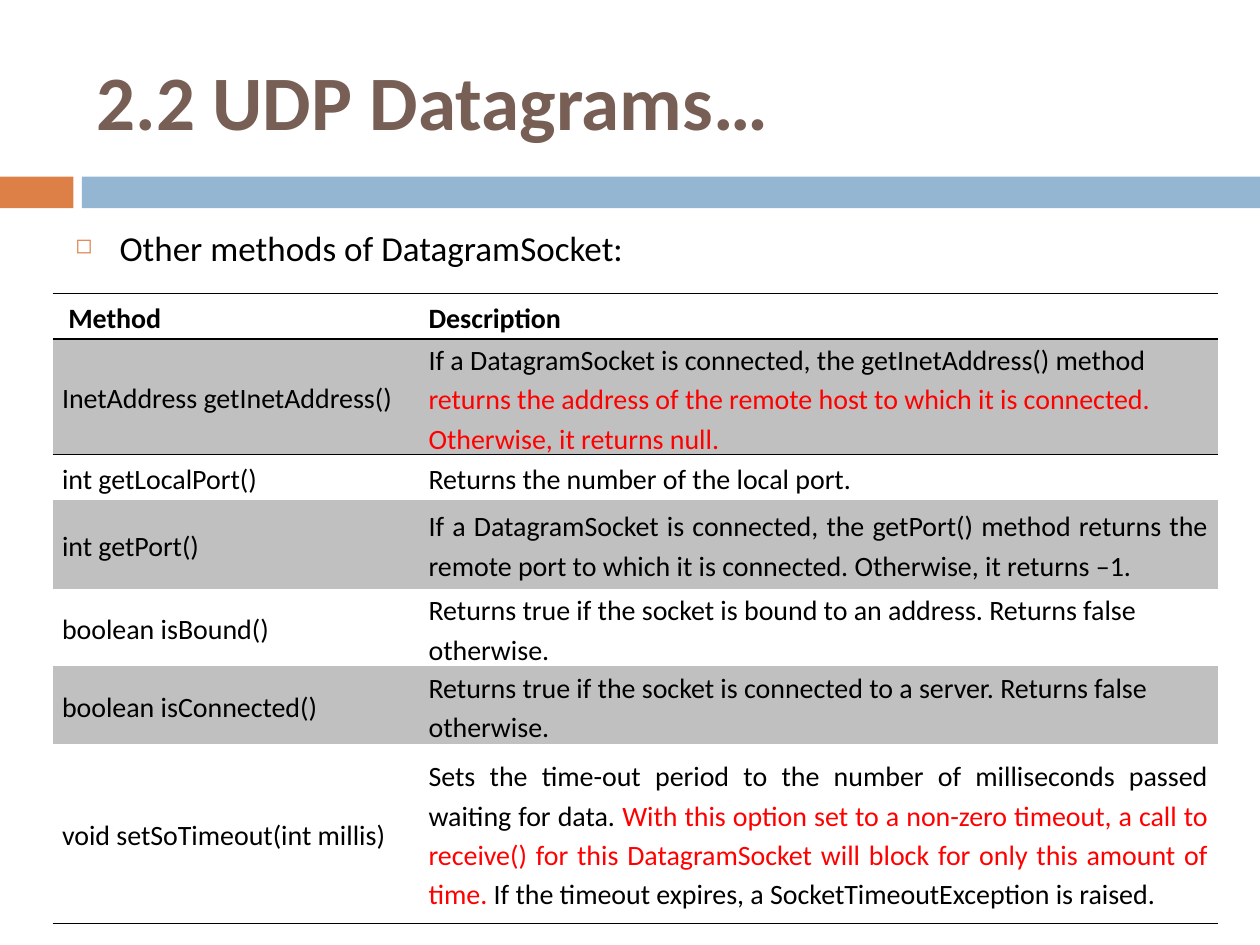
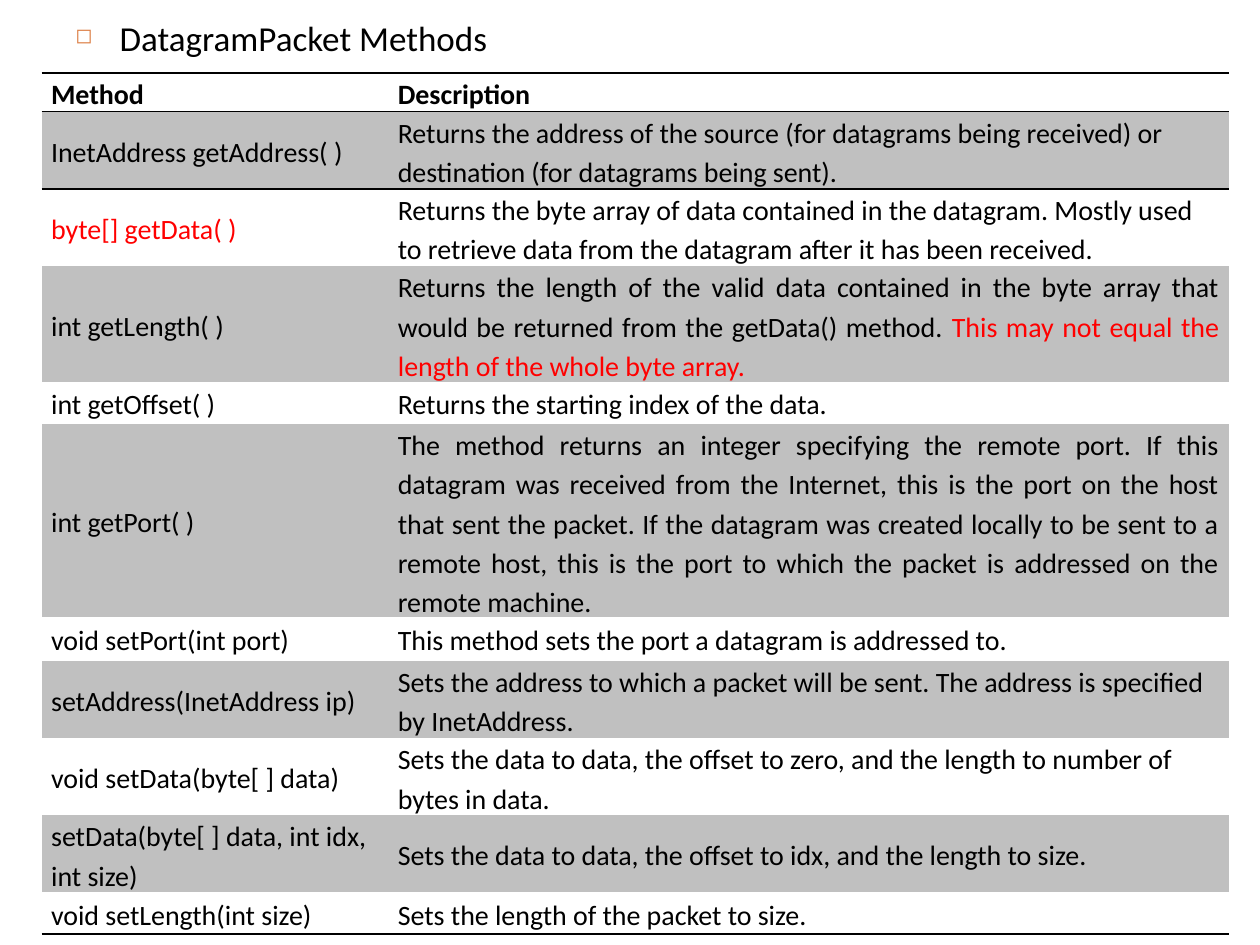
from dataclasses import dataclass
from typing import Any

from lxml.etree import SubElement
from pptx import Presentation
from pptx.dml.color import RGBColor
from pptx.enum.shapes import MSO_SHAPE
from pptx.enum.text import MSO_ANCHOR, PP_ALIGN
from pptx.oxml import parse_xml
from pptx.oxml.ns import nsdecls, qn
from pptx.util import Cm, Pt


@dataclass(frozen=True)
class Theme:
    font: str = "Calibri"
    text: str = "000000"
    hot: str = "FF0000"
    title: str = "775F55"
    accent: str = "DD8047"
    band: str = "94B6D2"
    stripe: str = "C0C0C0"
    title_size: int = 44
    body_size: int = 20
    cell_size: int = 16
    rule_width: int = 1
    no_style: str = "{2D5ABB26-0587-4C30-8999-92F81FD0307C}"


@dataclass(frozen=True)
class Box:
    left: float
    top: float
    width: float
    height: float

    def cm(self) -> tuple[Cm, Cm, Cm, Cm]:
        return Cm(self.left), Cm(self.top), Cm(self.width), Cm(self.height)


@dataclass(frozen=True)
class Band:
    box: Box
    color: str


@dataclass(frozen=True)
class Span:
    text: str
    hot: bool = False


@dataclass(frozen=True)
class Row:
    height: float
    method: Span
    description: tuple[Span, ...]
    justify: bool = False


@dataclass(frozen=True)
class MethodTable:
    left: float
    top: float
    cols: tuple[float, float]
    rows: tuple[Row, ...]


THEME = Theme()

BANDS = (
    Band(Box(0, 3.56, 1.48, 0.64), THEME.accent),
    Band(Box(1.65, 3.56, 23.75, 0.64), THEME.band),
)

SOCKET_METHODS = MethodTable(1.06, 5.92, (7.39, 16.1), (
    Row(0.91, Span(" Method"), (Span("Description"),)),
    Row(2.24, Span("InetAddress getInetAddress()"), (
        Span("If a DatagramSocket is connected, the getInetAddress() method "),
        Span("returns the address of the remote host to which it is connected. "
             "Otherwise, it returns null.", hot=True))),
    Row(0.91, Span("int getLocalPort()"),
        (Span("Returns the number of the local port."),)),
    Row(1.8, Span("int getPort()"), (
        Span("If a DatagramSocket is connected, the getPort() method returns the "
             "remote port to which it is connected. Otherwise, it returns –1. "),),
        justify=True),
    Row(1.5, Span("boolean isBound()"), (
        Span("Returns true if the socket is bound to an address. "
             "Returns false otherwise."),)),
    Row(1.5, Span("boolean isConnected()"), (
        Span("Returns true if the socket is connected to a server. "
             "Returns false otherwise."),)),
    Row(3.63, Span("void setSoTimeout(int millis)"), (
        Span("Sets the time-out period to the number of milliseconds passed "
             "waiting for data. "),
        Span("With this option set to a non-zero timeout, a call to receive() for "
             "this DatagramSocket will block for only this amount of time.", hot=True),
        Span(" If the timeout expires, a SocketTimeoutException is raised. ")),
        justify=True),
))

PACKET_METHODS = MethodTable(0.84, 1.47, (6.99, 16.94), (
    Row(0.71, Span("Method"), (Span("Description"),)),
    Row(1.45, Span("InetAddress getAddress( )"), (
        Span("Returns the address of the source (for datagrams being received) or "
             "destination (for datagrams being sent)."),)),
    Row(1.45, Span("byte[] getData( )", hot=True), (
        Span("Returns the byte array of data contained in the datagram. Mostly used "
             "to retrieve data from the datagram after it has been received."),)),
    Row(2.21, Span("int getLength( )"), (
        Span("Returns the length of the valid data contained in the byte array that "
             "would be returned from the getData() method. "),
        Span("This may not equal the length of the whole byte array.", hot=True)),
        justify=True),
    Row(0.84, Span("int getOffset( )"),
        (Span("Returns the starting index of the data."),)),
    Row(3.71, Span("int getPort( )"), (
        Span("The method returns an integer specifying the remote port. If this "
             "datagram was received from the Internet, this is the port on the host "
             "that sent the packet. If the datagram was created locally to be sent "
             "to a remote host, this is the port to which the packet is addressed "
             "on the remote machine."),),
        justify=True),
    Row(0.89, Span("void setPort(int port)"),
        (Span("This method sets the port a datagram is addressed to."),)),
    Row(1.45, Span("setAddress(InetAddress ip)"), (
        Span("Sets the address to which a packet will be sent. "
             "The address is specified by InetAddress."),)),
    Row(1.45, Span("void setData(byte[ ] data)"), (
        Span("Sets the data to data, the offset to zero, and the length to number "
             "of bytes in data."),)),
    Row(1.45, Span("setData(byte[ ] data, int idx, int size)"),
        (Span("Sets the data to data, the offset to idx, and the length to size."),)),
    Row(0.84, Span("void setLength(int size)"),
        (Span("Sets the length of the packet to size."),)),
))


def apply(target: Any, values: dict[str, Any]) -> None:
    for name, value in values.items():
        setattr(target, name, value)


def add_run(p: Any, text: str, size: int, color: str, bold: bool = False) -> None:
    r = p.add_run()
    r.text = text
    apply(r.font, {"name": THEME.font, "size": Pt(size), "bold": bold})
    r.font.color.rgb = RGBColor.from_string(color)


def add_band(s: Any, band: Band) -> None:
    sp = s.shapes.add_shape(MSO_SHAPE.RECTANGLE, *band.box.cm())
    sp.shadow.inherit = False
    sp.fill.solid()
    sp.fill.fore_color.rgb = RGBColor.from_string(band.color)
    sp.line.fill.background()


def set_title(s: Any, text: str, box: Box) -> None:
    sp = s.shapes.title
    apply(sp, dict(zip(("left", "top", "width", "height"), box.cm())))
    tf = sp.text_frame
    apply(tf, {"word_wrap": True, "vertical_anchor": MSO_ANCHOR.MIDDLE})
    p = tf.paragraphs[0]
    p.alignment = PP_ALIGN.LEFT
    add_run(p, text, THEME.title_size, THEME.title, bold=True)


def add_bullet(s: Any, text: str, box: Box) -> None:
    tf = s.shapes.add_textbox(*box.cm()).text_frame
    tf.word_wrap = True
    p = tf.paragraphs[0]
    p.space_before = Pt(7)
    pPr = p._p.get_or_add_pPr()
    indent = Cm(0.89)
    pPr.set("marL", str(indent))
    pPr.set("indent", str(-indent))
    color = SubElement(pPr, qn("a:buClr"))
    SubElement(color, qn("a:srgbClr"), val=THEME.accent)
    SubElement(pPr, qn("a:buSzPct"), val="60000")
    SubElement(pPr, qn("a:buChar"), char="◻")
    add_run(p, text, THEME.body_size, THEME.text)


def add_rules(cell: Any, sides: list[str]) -> None:
    tcPr = cell._tc.get_or_add_tcPr()
    for i, side in enumerate(sides):
        tcPr.insert(i, parse_xml(
            f'<a:ln{side} {nsdecls("a")} w="{Pt(THEME.rule_width)}"><a:solidFill>'
            f'<a:srgbClr val="{THEME.text}"/></a:solidFill></a:ln{side}>'))


def fill_cell(cell: Any, spans: tuple[Span, ...], justify: bool,
              header: bool, striped: bool) -> None:
    apply(cell, {
        "vertical_anchor": MSO_ANCHOR.MIDDLE,
        "margin_left": Cm(0.19), "margin_right": Cm(0.19),
        "margin_top": Cm(0), "margin_bottom": Cm(0),
    })
    if striped:
        cell.fill.solid()
        cell.fill.fore_color.rgb = RGBColor.from_string(THEME.stripe)
    else:
        cell.fill.background()
    p = cell.text_frame.paragraphs[0]
    apply(p, {"line_spacing": 1.15,
              "alignment": PP_ALIGN.JUSTIFY if justify else PP_ALIGN.LEFT})
    for span in spans:
        add_run(p, span.text, THEME.cell_size,
                THEME.hot if span.hot else THEME.text, bold=header)


def add_method_table(s: Any, spec: MethodTable) -> None:
    box = Box(spec.left, spec.top, sum(spec.cols), sum(row.height for row in spec.rows))
    tbl = s.shapes.add_table(len(spec.rows), len(spec.cols), *box.cm()).table
    apply(tbl, {"first_row": False, "horz_banding": False})
    tbl._tbl.tblPr.find(qn("a:tableStyleId")).text = THEME.no_style
    for col, width in zip(tbl.columns, spec.cols):
        col.width = Cm(width)
    last = len(spec.rows) - 1
    for i, row in enumerate(spec.rows):
        tbl.rows[i].height = Cm(row.height)
        sides = ["T"] * (i <= 1) + ["B"] * (i in (0, last))
        contents = (((row.method,), False), (row.description, row.justify))
        for j, (spans, justify) in enumerate(contents):
            cell = tbl.cell(i, j)
            fill_cell(cell, spans, justify, header=i == 0, striped=i % 2 == 1)
            add_rules(cell, sides)


def main() -> None:
    prs = Presentation()
    apply(prs, {"slide_width": Cm(25.4), "slide_height": Cm(19.05)})
    title_only, blank = prs.slide_layouts[5], prs.slide_layouts[6]

    s = prs.slides.add_slide(title_only)
    for band in BANDS:
        add_band(s, band)
    set_title(s, "2.2 UDP Datagrams…", Box(1.7, 0.64, 22.66, 2.74))
    add_bullet(s, "Other methods of DatagramSocket:", Box(1.27, 4.45, 22.86, 14.6))
    add_method_table(s, SOCKET_METHODS)

    s = prs.slides.add_slide(blank)
    add_bullet(s, "DatagramPacket Methods", Box(1.27, 0.2, 22.86, 18.85))
    add_method_table(s, PACKET_METHODS)

    prs.save("out.pptx")


if __name__ == "__main__":
    main()
